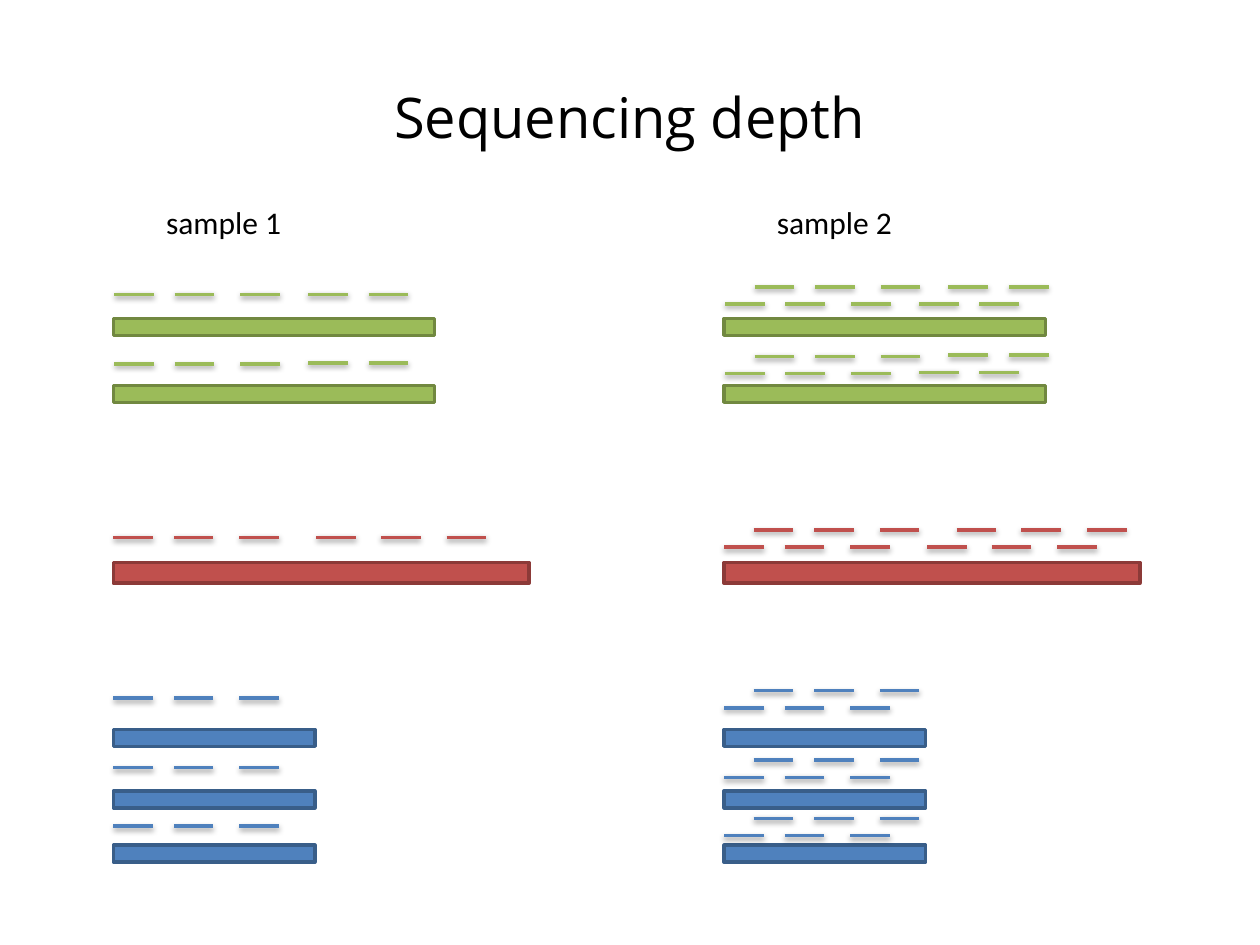
import pptx
import pptx.dml.color
import pptx.enum.shapes
import pptx.enum.text
import pptx.oxml
import pptx.oxml.ns
import pptx.util
from dataclasses import dataclass

Pt = pptx.util.Pt
RGB = pptx.dml.color.RGBColor.from_string


@dataclass(frozen=True)
class Theme:
    text: str = "000000"
    green: tuple = ("9BBB59", "718840")  # fill, outline
    red: tuple = ("C0504D", "8C3A38")
    blue: tuple = ("4F81BD", "395E89")
    title_font: str = "Open Sans"
    label_font: str = "Calibri"
    title_size: int = 32
    label_size: int = 18
    line_width: int = 2


theme = Theme()
READ_LENGTH = 22.7
SHADOW = (
    f"<a:effectLst {pptx.oxml.ns.nsdecls('a')}>"
    '<a:outerShdw blurRad="40000" dist="20000" dir="5400000" rotWithShape="0">'
    '<a:srgbClr val="000000"><a:alpha val="38000"/></a:srgbClr>'
    "</a:outerShdw></a:effectLst>"
)


def add_transcript(shapes, left, top, width, height, colors):
    bar = shapes.add_shape(pptx.enum.shapes.MSO_SHAPE.RECTANGLE,
                           Pt(left), Pt(top), Pt(width), Pt(height))
    bar.shadow.inherit = False
    bar.fill.solid()
    bar.fill.fore_color.rgb = RGB(colors[0])
    bar.line.color.rgb = RGB(colors[1])
    bar.line.width = Pt(theme.line_width)


def add_read(shapes, left, y, color):
    read = shapes.add_connector(pptx.enum.shapes.MSO_CONNECTOR.STRAIGHT,
                                Pt(left), Pt(y), Pt(left + READ_LENGTH), Pt(y))
    read.line.color.rgb = RGB(color)
    read.line.width = Pt(theme.line_width)
    read._element.spPr.append(pptx.oxml.parse_xml(SHADOW))


# Genes: colours, bar width and height, bar tops, read rows (y, offsets)
green_start, green_end = (0.5, 35, 72.5), (111.3, 145.8)
blue_offsets = (0, 34.5, 72)
genes = [
    (theme.green, 183.6, 9.6, (182, 220.3),
     [(168.2, green_start + green_end), (207.9, green_start), (207.3, green_end)]),
    (theme.red, 237.6, 11.8, (321.5,),
     [(307.1, (0, 34.5, 72, 116, 152.8, 190.4))]),
    (theme.blue, 115.2, 9.6, (416.9, 452, 483),
     [(y, blue_offsets) for y in (399, 438.7, 472)]),
]

# Samples: label, left edge, layers of reads (shift right, shift down)
samples = [
    ("sample 1", 64.8, [(0, 0)]),
    ("sample 2", 413.8, [(0, 5.5), (16.9, -4.3)]),
]

deck = pptx.Presentation()
deck.slide_width, deck.slide_height = Pt(720), Pt(540)
slide = deck.slides.add_slide(deck.slide_layouts[5])

# Title
title = slide.shapes.title
title.left, title.top, title.width, title.height = Pt(36), Pt(21.6), Pt(648), Pt(90)
title.text_frame.text = "Sequencing depth"
title.text_frame.vertical_anchor = pptx.enum.text.MSO_ANCHOR.MIDDLE
heading = title.text_frame.paragraphs[0]
heading.alignment = pptx.enum.text.PP_ALIGN.CENTER
heading.font.name = theme.title_font
heading.font.size = Pt(theme.title_size)
heading.font.color.rgb = RGB(theme.text)

for name, left, layers in samples:
    sample = slide.shapes.add_group_shape().shapes

    # Transcripts
    for colors, width, height, tops, read_rows in genes:
        for top in tops:
            add_transcript(sample, left, top, width, height, colors)

        # Sequenced reads above them
        for shift, drop in layers:
            for y, offsets in read_rows:
                for offset in offsets:
                    add_read(sample, left + offset + shift, y + drop, colors[0])

    # Sample label
    label = sample.add_textbox(Pt(left + 23), Pt(112.3), Pt(80.6), Pt(29))
    label.text_frame.word_wrap = False
    label.text_frame.auto_size = pptx.enum.text.MSO_AUTO_SIZE.SHAPE_TO_FIT_TEXT
    label.text_frame.text = name
    caption = label.text_frame.paragraphs[0]
    caption.font.name = theme.label_font
    caption.font.size = Pt(theme.label_size)
    caption.font.color.rgb = RGB(theme.text)

deck.save("out.pptx")
